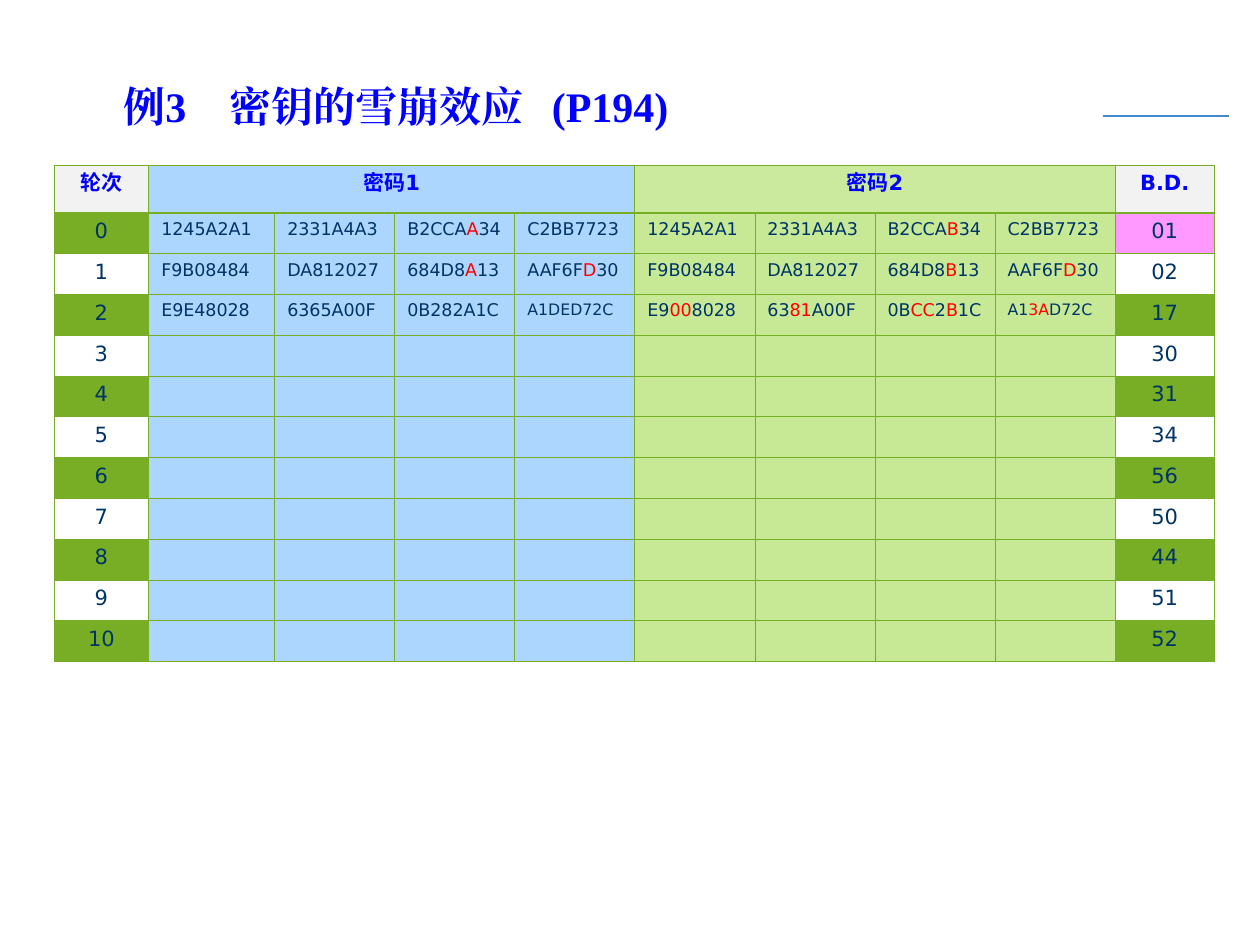
from dataclasses import dataclass

from lxml import etree
from pptx import Presentation
from pptx import util as u
from pptx.dml.color import RGBColor
from pptx.enum import shapes, text
from pptx.oxml import ns


@dataclass(frozen=True)
class Theme:
    blue: str = "0000FF"
    navy: str = "003366"
    red: str = "FF0000"
    rule: str = "438ACB"
    green: str = "77AE26"
    pink: str = "FF99FF"
    gray: str = "F2F2F2"
    sky: str = "ADD6FF"
    lime: str = "C7E995"
    lime_head: str = "CBEA9D"
    serif: str = "Times New Roman"
    sans: str = "DejaVu Sans"
    title: float = 24
    label: float = 12
    code: float = 10
    small: float = 9
    thin: float = 0.45
    thick: float = 0.96


@dataclass(frozen=True)
class Style:
    size: float
    color: str
    face: str = "DejaVu Sans"
    bold: bool = False


@dataclass(frozen=True)
class Fill:
    color: str
    alpha: int = 100


@dataclass(frozen=True)
class Round:
    diff: str
    first: tuple = ("",) * 4
    second: tuple = ("",) * 4


T = Theme()
HEAD = Style(T.label, T.blue, bold=True)
LABEL = Style(T.label, T.navy)
CODE = Style(T.code, T.navy)
SMALL = Style(T.small, T.navy)
TINT = Fill(T.green, 20)

# Square brackets mark the digits shown in red
ROUNDS = [
    Round("01", ("1245A2A1", "2331A4A3", "B2CCA[A]34", "C2BB7723"),
          ("1245A2A1", "2331A4A3", "B2CCA[B]34", "C2BB7723")),
    Round("02", ("F9B08484", "DA812027", "684D8[A]13", "AAF6F[D]30"),
          ("F9B08484", "DA812027", "684D8[B]13", "AAF6F[D]30")),
    Round("17", ("E9E48028", "6365A00F", "0B282A1C", "A1DED72C"),
          ("E9[00]8028", "63[81]A00F", "0B[CC]2[B]1C", "A1[3A]D72C")),
    *map(Round, ("30", "31", "34", "56", "50", "44", "51", "52")),
]


def sub(node, tag: str, **attrs: str):
    return etree.SubElement(node, ns.qn(tag), attrs)


def write(para, words: str, style: Style) -> None:
    """Add the words as runs, with bracketed parts in red."""
    for i, part in enumerate(words.replace("]", "[").split("[")):
        if not part:
            continue
        run = para.add_run()
        run.text = part
        look = {"size": u.Pt(style.size), "bold": style.bold, "name": style.face}
        for key, value in look.items():
            setattr(run.font, key, value)
        run.font.color.rgb = RGBColor.from_string(T.red if i % 2 else style.color)
        sub(run.font._element, "a:ea", typeface=style.face)
    if not words:
        sub(para._p, "a:endParaRPr", sz=str(int(style.size * 100)))


def border(cell, top: float, bottom: float) -> None:
    props = cell._tc.get_or_add_tcPr()
    for side, width in zip("LRTB", (T.thin, T.thin, top, bottom)):
        line = sub(props, f"a:ln{side}", w=str(int(u.Pt(width))))
        sub(sub(line, "a:solidFill"), "a:srgbClr", val=T.green)


def paint(cell, fill: Fill | None) -> None:
    if fill is None:
        cell.fill.background()
        return
    cell.fill.solid()
    cell.fill.fore_color.rgb = RGBColor.from_string(fill.color)
    if fill.alpha < 100:
        color = cell._tc.tcPr.find(".//" + ns.qn("a:srgbClr"))
        sub(color, "a:alpha", val=str(fill.alpha * 1000))


def put(grid, row: int, col: int, words: str, style: Style,
        fill: Fill | None, center: bool = True) -> None:
    cell = grid.cell(row, col)
    border(cell, T.thick if row == 1 else T.thin, T.thick if row == 0 else T.thin)
    paint(cell, fill)
    para = cell.text_frame.paragraphs[0]
    if center:
        para.alignment = text.PP_ALIGN.CENTER
    write(para, words, style)


def draw_title(slide) -> None:
    box = slide.shapes.add_textbox(*map(u.Inches, (0.9, 0.6, 4.73, 0.48)))
    frame = box.text_frame
    pads = {"margin_left": 0.08, "margin_right": 0.08,
            "margin_top": 0.04, "margin_bottom": 0.04}
    for key, value in pads.items():
        setattr(frame, key, u.Inches(value))
    frame.word_wrap = True
    para = frame.paragraphs[0]
    stops = sub(para._p.get_or_add_pPr(), "a:tabLst")
    for stop in (0.84, 3.4):
        sub(stops, "a:tab", pos=str(int(u.Inches(stop))), algn="l")
    write(para, "例3\t密钥的雪崩效应\t(P194)",
          Style(T.title, T.blue, T.serif, True))


def draw_rule(slide) -> None:
    line = slide.shapes.add_connector(
        shapes.MSO_CONNECTOR.STRAIGHT, *map(u.Inches, (8.75, 0.92, 9.75, 0.92)))
    line.line.color.rgb = RGBColor.from_string(T.rule)
    line.line.width = u.Pt(0.75)
    sub(line._element.spPr, "a:effectLst")


def draw_table(slide) -> None:
    wide, high, head = 9.21, 3.94, 0.38
    ends = (0.75, 1, 0.79)
    step = (wide - sum(ends)) / 7
    widths = [*ends[:2], *[step] * 7, ends[2]]
    count = len(ROUNDS)
    grid = slide.shapes.add_table(
        count + 1, len(widths), *map(u.Inches, (0.43, 1.31, wide, high))).table
    grid.first_row = grid.horz_banding = False
    for col, width in zip(grid.columns, widths):
        col.width = u.Inches(width)
    for i, row in enumerate(grid.rows):
        row.height = u.Inches((high - head) / count if i else head)

    # Header, with each cipher spanning four columns
    heads = {0: ("轮次", T.gray), 1: ("密码1", T.sky),
             5: ("密码2", T.lime_head), 9: ("B.D.", T.gray)}
    for col in range(len(widths)):
        words, color = heads.get(col, ("", T.gray))
        put(grid, 0, col, words, HEAD, Fill(color))
    for col in (1, 5):
        grid.cell(0, col).merge(grid.cell(0, col + 3))

    # Rounds, with every other row tinted at both ends
    for i, item in enumerate(ROUNDS):
        band = None if i % 2 else TINT
        put(grid, i + 1, 0, str(i), LABEL, band)
        put(grid, i + 1, 9, item.diff, LABEL, band if i else Fill(T.pink, 20))
        for start, codes, color in ((1, item.first, T.sky), (5, item.second, T.lime)):
            for j, code in enumerate(codes):
                style = SMALL if (i, j) == (2, 3) else CODE
                put(grid, i + 1, start + j, code, style, Fill(color), False)


def main() -> None:
    deck = Presentation()
    deck.slide_width, deck.slide_height = u.Inches(10), u.Inches(7.5)
    slide = deck.slides.add_slide(deck.slide_layouts[6])
    draw_rule(slide)
    draw_title(slide)
    draw_table(slide)
    deck.save("out.pptx")


if __name__ == "__main__":
    main()
